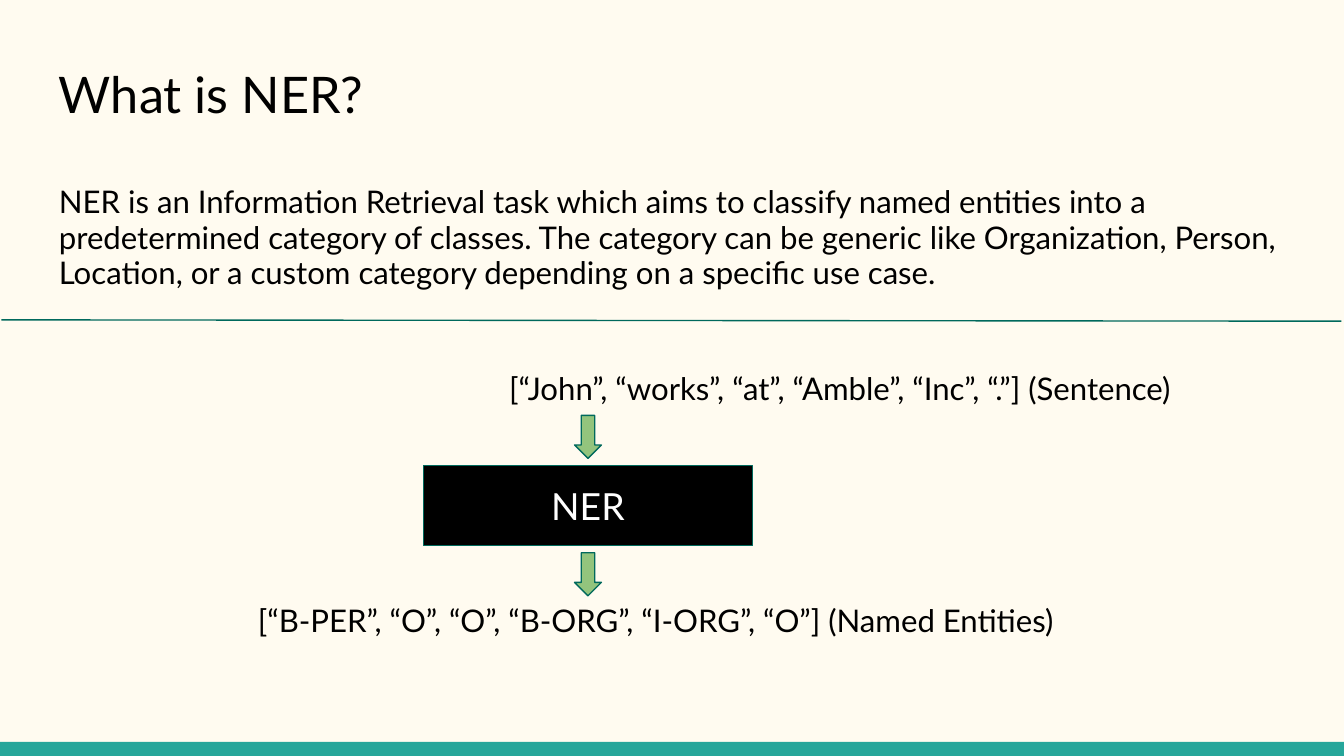
import pptx
import pptx.dml.color
import pptx.enum.shapes
import pptx.enum.text
import pptx.oxml.ns
import pptx.util
from lxml import etree

RGBColor = pptx.dml.color.RGBColor
Shapes = pptx.enum.shapes.MSO_SHAPE
CREAM = RGBColor(0xFF, 0xFB, 0xF0)
TEAL = RGBColor(0x26, 0xA6, 0x9A)
DARK_TEAL = RGBColor(0x00, 0x69, 0x5C)
GREEN = RGBColor(0x93, 0xC4, 0x7D)
BLACK = RGBColor(0x00, 0x00, 0x00)
WHITE = RGBColor(0xFF, 0xFF, 0xFF)

COLUMNS, ROWS = 100, 56.25
CELL = pptx.util.Inches(0.1)
INSET = pptx.util.Inches(0.1)
OUTLINE = pptx.util.Pt(0.75)

DEFINITION = (
    "NER is an Information Retrieval task which aims to classify named "
    "entities into a predetermined category of classes. The category can be "
    "generic like Organization, Person, Location, or a custom category "
    "depending on a specific use case."
)
SENTENCE = "[“John”, “works”, “at”, “Amble”, “Inc”, “.”] (Sentence)"
ENTITIES = "[“B-PER”, “O”, “O”, “B-ORG”, “I-ORG”, “O”] (Named Entities)"


def cells(*counts):
    return [round(count * CELL) for count in counts]


def apply_format(target, values):
    for name, value in values.items():
        setattr(target, name, value)


def prepare_frame(holder):
    margins = ("margin_left", "margin_top", "margin_right", "margin_bottom")
    apply_format(
        holder.text_frame, {"word_wrap": True, **dict.fromkeys(margins, INSET)}
    )
    return holder.text_frame


def write(paragraph, text, size, color=BLACK, **paragraph_format):
    apply_format(paragraph, paragraph_format)
    run = paragraph.add_run()
    run.text = text
    apply_format(run.font, {"name": "Lato", "size": pptx.util.Pt(size)})
    run.font.color.rgb = color


def add_title(slide):
    title = slide.shapes.add_textbox(*cells(3.4, 3.7, 93.2, 6.7))
    write(prepare_frame(title).paragraphs[0], "What is NER?", 27)


def add_body(slide):
    body = slide.shapes.add_textbox(*cells(3.4, 12.8, 93.2, 41.6))
    frame = prepare_frame(body)
    for position, (text, indent, space) in enumerate(
        ((DEFINITION, 0, 0), (SENTENCE, 33.5, 43), (ENTITIES, 14.8, 105))
    ):
        paragraph = frame.add_paragraph() if position else frame.paragraphs[0]
        write(
            paragraph,
            text,
            16.7,
            line_spacing=0.95,
            space_before=pptx.util.Pt(space),
        )
        properties = paragraph._p.get_or_add_pPr()
        properties.set("marL", str(cells(indent)[0]))


def add_block(slide, preset, area, fill, outline=None):
    block = slide.shapes.add_shape(preset, *cells(*area))
    block.shadow.inherit = False
    block.fill.solid()
    block.fill.fore_color.rgb = fill
    if outline is None:
        block.line.fill.background()
    else:
        block.line.color.rgb = outline
        block.line.width = OUTLINE
    return block


def add_divider(slide, start, end):
    divider = slide.shapes.add_connector(
        pptx.enum.shapes.MSO_CONNECTOR.STRAIGHT, *cells(*start, *end)
    )
    divider.line.color.rgb = DARK_TEAL
    divider.line.width = OUTLINE
    etree.SubElement(divider.element.spPr, pptx.oxml.ns.qn("a:effectLst"))


def add_ner_flow(slide):
    left, top, width, height = 31.5, 34.64, 24.5, 5.96
    arrow_width, arrow_height, gap = 2, 3.2, 0.53
    arrow_left = left + (width - arrow_width) / 2
    for arrow_top in (top - gap - arrow_height, top + height + gap):
        area = (arrow_left, arrow_top, arrow_width, arrow_height)
        add_block(slide, Shapes.DOWN_ARROW, area, GREEN, DARK_TEAL)
    model = add_block(
        slide, Shapes.RECTANGLE, (left, top, width, height), BLACK, DARK_TEAL
    )
    frame = prepare_frame(model)
    frame.vertical_anchor = pptx.enum.text.MSO_ANCHOR.MIDDLE
    center = pptx.enum.text.PP_ALIGN.CENTER
    write(frame.paragraphs[0], "NER", 20, WHITE, alignment=center)


def main():
    deck = pptx.Presentation()
    deck.slide_width, deck.slide_height = cells(COLUMNS, ROWS)
    slide = deck.slides.add_slide(deck.slide_layouts[6])
    slide.background.fill.solid()
    slide.background.fill.fore_color.rgb = CREAM

    add_block(slide, Shapes.RECTANGLE, (0, ROWS - 1.05, COLUMNS, 1.05), TEAL)
    add_title(slide)
    add_body(slide)
    add_ner_flow(slide)
    add_divider(slide, (0.1, 23.8), (99.8, 23.9))
    deck.save("out.pptx")


if __name__ == "__main__":
    main()
